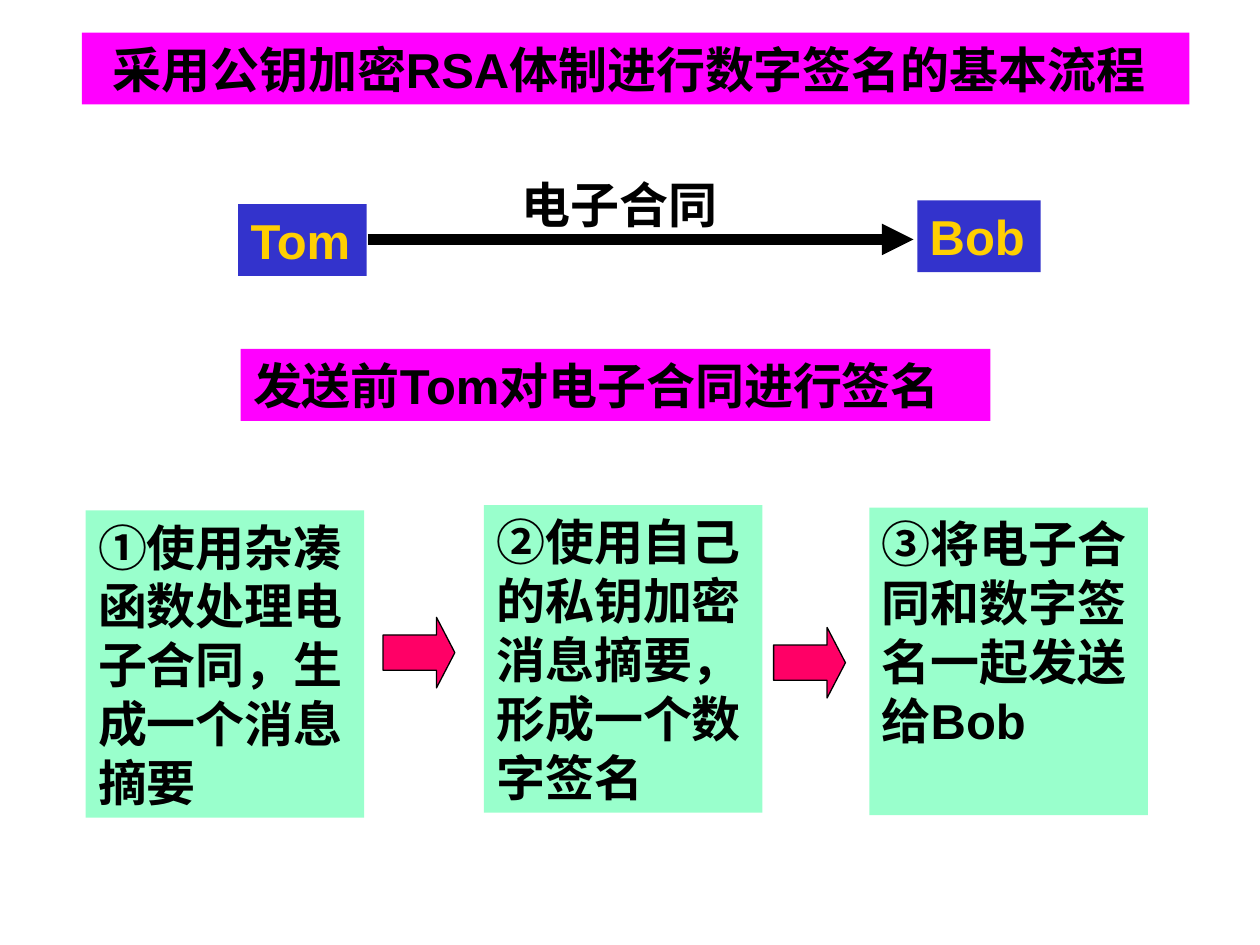
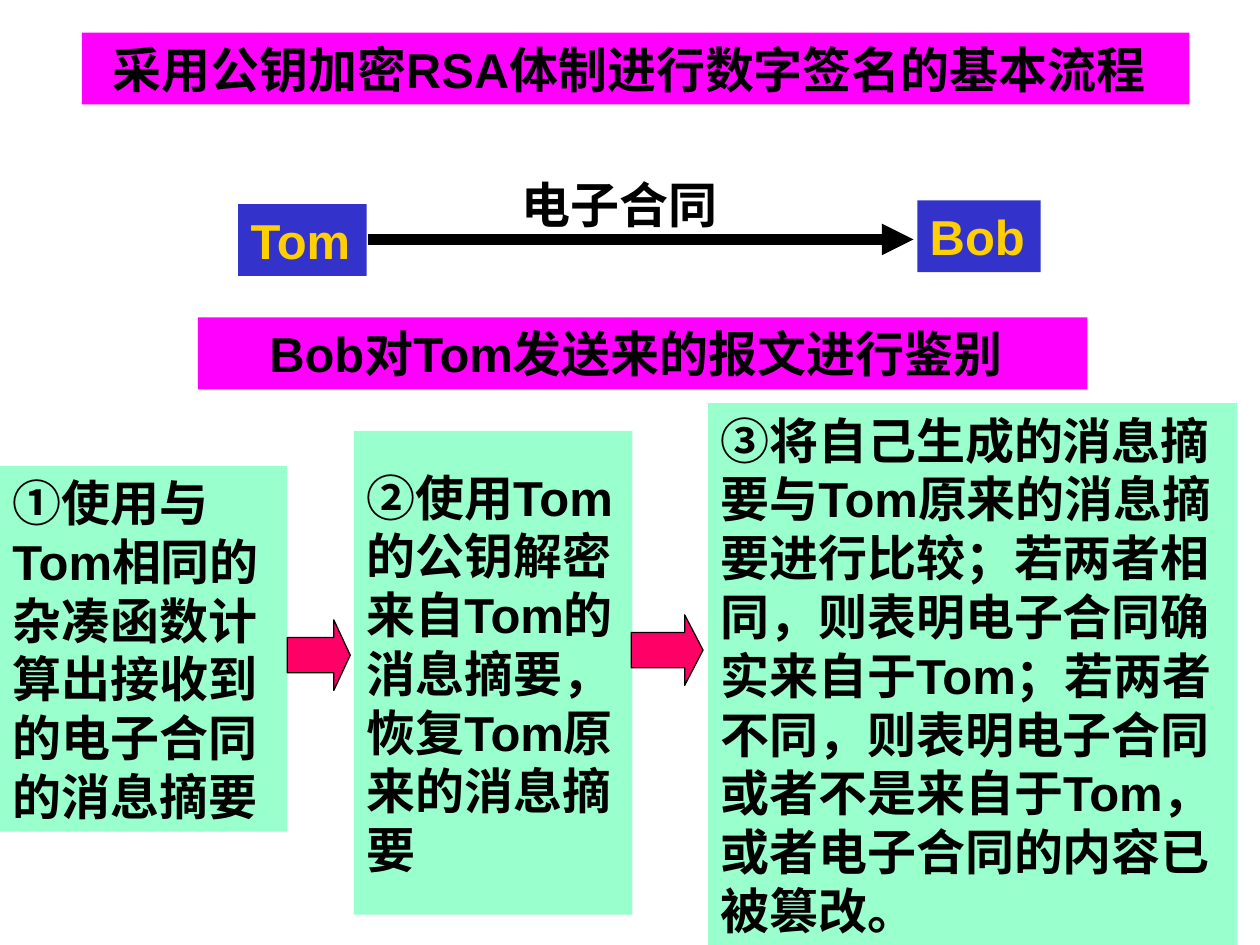
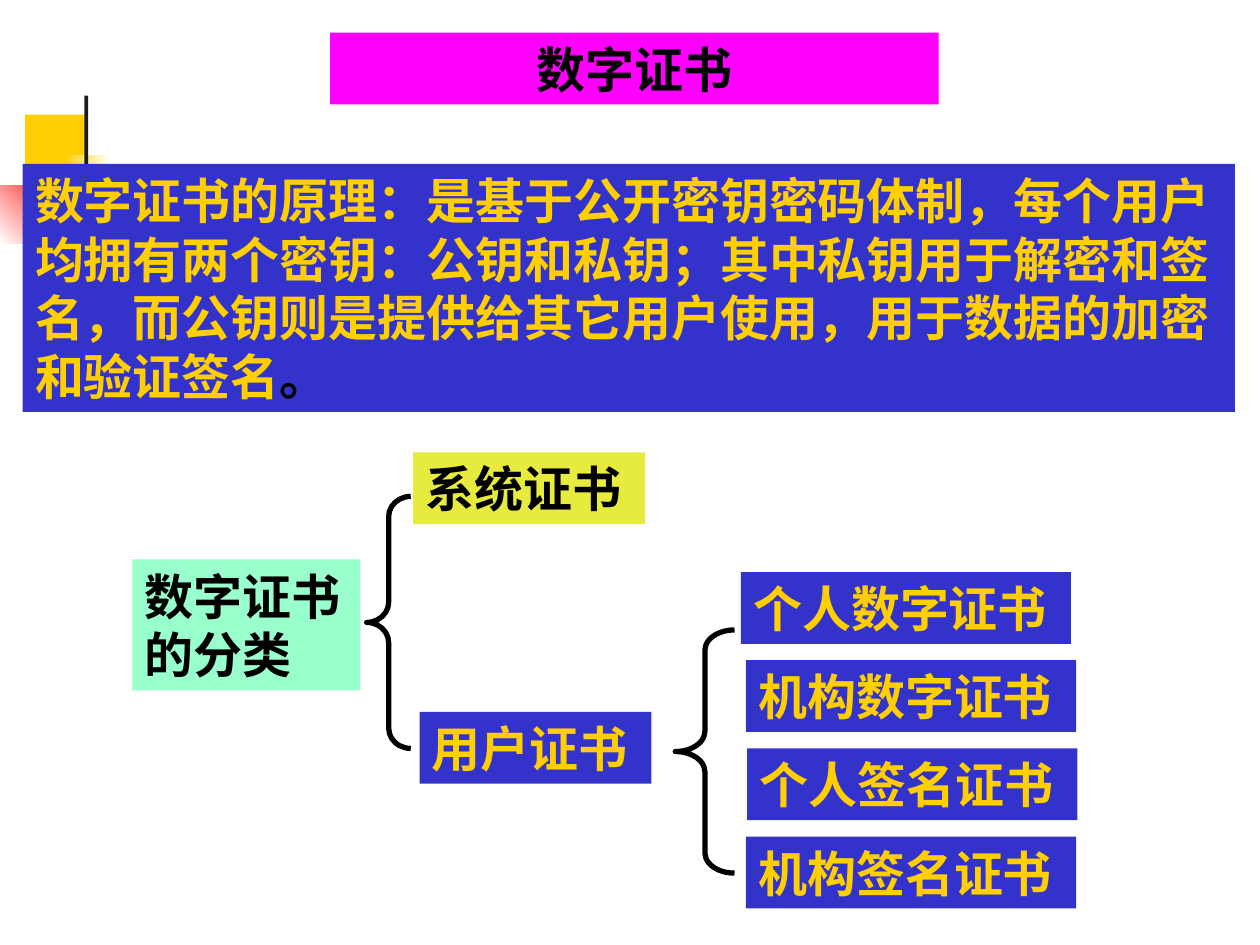
"""Build three slides on digital signatures and digital certificates."""
from dataclasses import dataclass

from lxml import etree
from pptx import Presentation
from pptx.dml.color import RGBColor
from pptx.enum.shapes import MSO_CONNECTOR, MSO_SHAPE
from pptx.enum.text import MSO_ANCHOR, MSO_AUTO_SIZE, PP_ALIGN
from pptx.oxml.ns import qn
from pptx.util import Inches, Pt

RECTANGLE = MSO_SHAPE.RECTANGLE
RIGHT_ARROW = MSO_SHAPE.RIGHT_ARROW
LEFT_BRACE = MSO_SHAPE.LEFT_BRACE
STRAIGHT = MSO_CONNECTOR.STRAIGHT
TOP, MIDDLE = MSO_ANCHOR.TOP, MSO_ANCHOR.MIDDLE
LEFT, CENTER = PP_ALIGN.LEFT, PP_ALIGN.CENTER
GROW, FIXED = MSO_AUTO_SIZE.SHAPE_TO_FIT_TEXT, MSO_AUTO_SIZE.NONE

COLORS = {
    "magenta": "FF00FF", "blue": "3333CC", "gold": "FFCF01",
    "mint": "99FFCC", "lime": "E7EB3D", "pink": "FF0066",
    "red": "FF0000", "black": "000000", "white": "FFFFFF", "charcoal": "1C1C1C",
}
MAIN_FONT, MARKER_FONT = "Arial", "Noto Sans CJK SC"
FONT_FORMAT = {"size": Pt(28), "bold": True}
LINE_PITCH = Pt(33.6)
LINE_BOX = 0.57
FLOW_TITLE = "采用公钥加密RSA体制进行数字签名的基本流程 "


@dataclass(frozen=True)
class Area:
    """Position and size in inches."""
    left: float
    top: float
    width: float
    height: float = LINE_BOX

    def lengths(self) -> tuple:
        """Return the four lengths for a shape call."""
        return tuple(map(Inches, (self.left, self.top, self.width, self.height)))


@dataclass(frozen=True)
class Box:
    """Text box with an optional leading marker and a differently coloured ending."""
    area: Area
    text: str
    fill: str | None = "mint"
    color: str = "black"
    marker: str = ""
    ending: str = ""
    align: PP_ALIGN = LEFT
    anchor: MSO_ANCHOR = MIDDLE
    wrap: bool = True
    size_mode: MSO_AUTO_SIZE = GROW


@dataclass(frozen=True)
class Gradient:
    """Two colours and a counter-clockwise angle."""
    start: str
    finish: str
    angle: int


def rgb(name: str) -> RGBColor:
    """Return a named colour."""
    return RGBColor.from_string(COLORS[name])


def set_attributes(target, values: dict) -> None:
    """Set every attribute listed in the dict."""
    for name, value in values.items():
        setattr(target, name, value)


def add_plain(page, kind: MSO_SHAPE, area: Area, fill: str | None):
    """Add a shape without shadow or outline."""
    shape = page.shapes.add_shape(kind, *area.lengths())
    shape.shadow.inherit = False
    shape.line.fill.background()
    if fill:
        shape.fill.solid()
        shape.fill.fore_color.rgb = rgb(fill)
    else:
        shape.fill.background()
    return shape


def outline(shape, width: float) -> None:
    """Give a shape a black line."""
    shape.line.color.rgb = rgb("black")
    shape.line.width = Pt(width)


def add_span(para, text: str, color: str, font: str = MAIN_FONT) -> None:
    """Add a formatted run."""
    span = para.add_run()
    span.text = text
    set_attributes(span.font, FONT_FORMAT | {"name": font})
    span.font.color.rgb = rgb(color)
    properties = span.font._element
    properties.set("lang", "zh-CN")
    etree.SubElement(properties, qn("a:ea"), typeface=MAIN_FONT)


def add_box(page, box: Box) -> None:
    """Draw a text box."""
    if box.fill:
        shape = add_plain(page, RECTANGLE, box.area, box.fill)
    else:
        shape = page.shapes.add_textbox(*box.area.lengths())
    frame = shape.text_frame
    set_attributes(frame, {"word_wrap": box.wrap, "auto_size": box.size_mode,
                           "vertical_anchor": box.anchor})
    para = frame.paragraphs[0]
    set_attributes(para, {"alignment": box.align, "line_spacing": LINE_PITCH})
    if box.marker:
        add_span(para, box.marker, box.color, MARKER_FONT)
    add_span(para, box.text, box.color)
    if box.ending:
        add_span(para, box.ending, "black")


def add_banner(page, area: Area, text: str, align: PP_ALIGN = CENTER) -> None:
    """Draw a magenta heading band."""
    add_box(page, Box(area, text, "magenta", align=align))


def add_step_arrow(page, area: Area) -> None:
    """Draw a block arrow between two steps."""
    arrow = add_plain(page, RIGHT_ARROW, area, "pink")
    arrow.adjustments[1] = 0.26
    outline(arrow, 0.75)


def add_brace(page, area: Area, curl: float) -> None:
    """Draw a brace whose curl height is given in inches."""
    brace = add_plain(page, LEFT_BRACE, area, None)
    brace.adjustments[0] = curl / area.width
    outline(brace, 3)


def add_exchange(page) -> None:
    """Draw the title and the contract sent from Tom to Bob."""
    add_banner(page, Area(0.65, 0.26, 8.79), FLOW_TITLE)
    for area, text, fill, color in (
        (Area(1.89, 1.62, 1.02), "Tom", "blue", "gold"),
        (Area(4.04, 1.34, 1.75), "电子合同", None, "black"),
        (Area(7.28, 1.59, 0.98), "Bob", "blue", "gold"),
    ):
        add_box(page, Box(area, text, fill, color, anchor=TOP, wrap=False))
    route = page.shapes.add_connector(
        STRAIGHT, Inches(2.92), Inches(1.9), Inches(7.25), Inches(1.9))
    outline(route, 6)
    etree.SubElement(route.line._get_or_add_ln(), qn("a:tailEnd"), type="triangle")
    etree.SubElement(route._element.spPr, qn("a:effectLst"))


def add_steps(page, steps: tuple, arrows: tuple) -> None:
    """Draw the step boxes and the arrows between them."""
    for step in steps:
        add_box(page, step)
    for area in arrows:
        add_step_arrow(page, area)


def build_signing(page) -> None:
    """Show how Tom signs the contract."""
    add_exchange(page)
    add_banner(page, Area(1.91, 2.77, 5.95), "发送前Tom对电子合同进行签名", LEFT)
    add_steps(page, (
        Box(Area(0.68, 4.05, 2.21, 2.44), marker="①",
            text="使用杂凑函数处理电子合同，生成一个消息摘要"),
        Box(Area(3.84, 4.01, 2.21, 2.44), marker="②",
            text="使用自己的私钥加密消息摘要，形成一个数字签名"),
        Box(Area(6.9, 4.03, 2.21, 2.44), marker="③",
            text="将电子合同和数字签名一起发送给Bob", anchor=TOP, size_mode=FIXED),
    ), (Area(3.04, 4.9, 0.57, 0.56), Area(6.14, 4.98, 0.57, 0.56)))


def build_verification(page) -> None:
    """Show how Bob verifies the message."""
    add_exchange(page)
    add_banner(page, Area(1.57, 2.52, 7.06), "Bob对Tom发送来的报文进行鉴别 ")
    add_steps(page, (
        Box(Area(0, 3.7, 2.28, 2.9), marker="①",
            text="使用与Tom相同的杂凑函数计算出接收到的电子合同的消息摘要"),
        Box(Area(2.81, 3.42, 2.21, 3.84), marker="②",
            text="使用Tom的公钥解密来自Tom的消息摘要，恢复Tom原来的消息摘要"),
        Box(Area(5.62, 3.2, 4.2, 4.31), marker="③",
            text="将自己生成的消息摘要与Tom原来的消息摘要进行比较；若两者相同，"
                 "则表明电子合同确实来自于Tom；若两者不同，则表明电子合同或者不是来自于Tom，"
                 "或者电子合同的内容已被篡改。"),
    ), (Area(2.28, 4.92, 0.5, 0.56), Area(5.01, 4.88, 0.57, 0.56)))


def add_ornament(page) -> None:
    """Draw the coloured corner blocks."""
    add_plain(page, RECTANGLE, Area(0.2, 0.91, 0.48, 0.52), "gold")
    for area, blend in (
        (Area(0.51, 1.23, 0.36, 0.52), Gradient("white", "gold", 180)),
        (Area(0, 1.47, 0.61, 0.46), Gradient("red", "white", 225)),
    ):
        fill = add_plain(page, RECTANGLE, area, None).fill
        fill.gradient()
        fill.gradient_angle = blend.angle
        for position, (stop, color) in enumerate(
                zip(fill.gradient_stops, (blend.start, blend.finish))):
            stop.position = position
            stop.color.rgb = rgb(color)
    add_plain(page, RECTANGLE, Area(0.67, 0.76, 0.03, 1.15), "charcoal")


def build_certificates(page) -> None:
    """Show the principle and the classes of certificates."""
    add_ornament(page)
    add_banner(page, Area(2.62, 0.26, 4.83), "数字证书")
    add_box(page, Box(
        Area(0.18, 1.3, 9.62, 1.97),
        "数字证书的原理：是基于公开密钥密码体制，每个用户均拥有两个密钥：公钥和私钥；"
        "其中私钥用于解密和签名，而公钥则是提供给其它用户使用，用于数据的加密和验证签名",
        "blue", "gold", ending="。"))
    add_box(page, Box(Area(1.05, 4.44, 1.81, 1.04), "数字证书的分类"))
    add_box(page, Box(Area(3.28, 3.59, 1.84), "系统证书", "lime"))
    add_box(page, Box(Area(3.33, 5.65, 1.84), "用户证书", "blue", "gold"))
    for row, (left, text) in enumerate((
        (5.88, "个人数字证书"), (5.92, "机构数字证书"),
        (5.93, "个人签名证书"), (5.92, "机构签名证书"),
    )):
        add_box(page, Box(Area(left, 4.54 + 0.7 * row, 2.62), text, "blue", "gold"))
    add_brace(page, Area(5.36, 5, 0.47, 1.93), 0.16)
    add_brace(page, Area(2.91, 3.94, 0.35, 2), 0.16)


def main() -> None:
    """Create and save the deck."""
    deck = Presentation()
    set_attributes(deck, {"slide_width": Inches(10), "slide_height": Inches(7.5)})
    for build in (build_signing, build_verification, build_certificates):
        build(deck.slides.add_slide(deck.slide_layouts[6]))
    deck.save("out.pptx")


if __name__ == "__main__":
    main()
